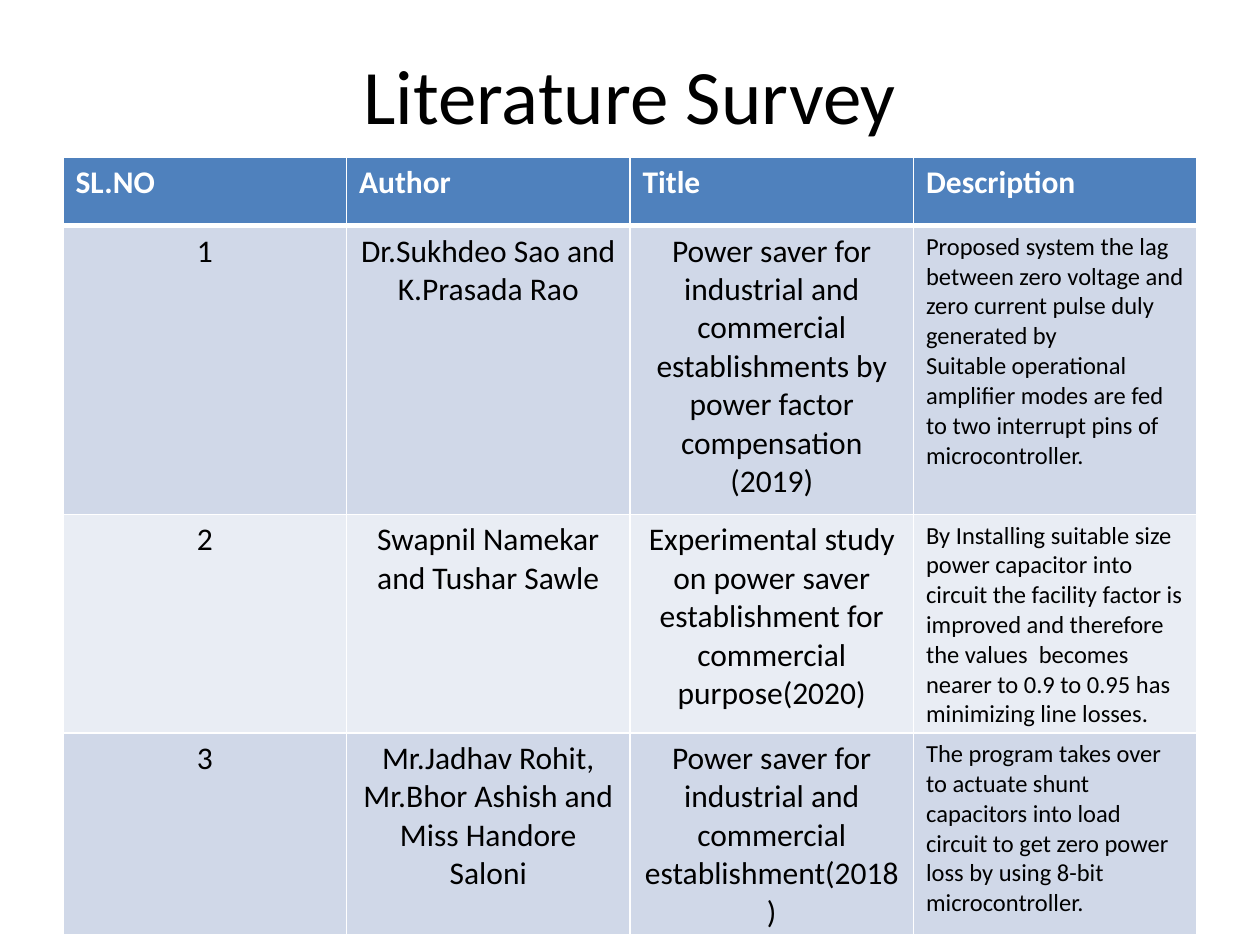
"""Build the literature survey slide."""
from lxml import etree
from pptx import Presentation
from pptx import util as u
from pptx.dml.color import RGBColor
from pptx.enum import text
from pptx.oxml.ns import qn

FONT = "Calibri"
WHITE, BLACK, HEADER = "FFFFFF", "000000", "4F81BD"
BANDS = ("D0D8E8", "E9EDF4")
COLUMN_WIDTH = 162
ROW_HEIGHTS = (39, 165, 120, 98)
LEFT, CENTER = text.PP_ALIGN.LEFT, text.PP_ALIGN.CENTER

HEADINGS = ("SL.NO", "Author", "Title", "Description")
PAPERS = (
    (
        ["1"],
        ["Dr.Sukhdeo Sao and K.Prasada Rao"],
        ["Power saver for industrial and commercial establishments by "
         "power factor compensation", "(2019)"],
        ["Proposed system the lag between zero voltage and zero current "
         "pulse duly generated by",
         "Suitable operational amplifier modes are fed to two interrupt "
         "pins of microcontroller."],
    ),
    (
        ["2"],
        ["Swapnil Namekar and Tushar Sawle"],
        ["Experimental study on power saver establishment for commercial "
         "purpose(2020)"],
        ["By Installing suitable size power capacitor into circuit the "
         "facility factor is improved and therefore the values  becomes "
         "nearer to 0.9 to 0.95 has minimizing line losses."],
    ),
    (
        ["3"],
        ["Mr.Jadhav Rohit, Mr.Bhor Ashish and Miss Handore Saloni"],
        ["Power saver for industrial and commercial establishment(2018)"],
        ["The program takes over to actuate shunt capacitors into load "
         "circuit to get zero power loss by using 8-bit microcontroller."],
    ),
)


def color(value):
    """Turn a hex string into a colour."""
    return RGBColor.from_string(value)


def write(frame, lines, size, ink, align, bold=False):
    """Fill a text frame with one paragraph per line."""
    for index, line in enumerate(lines):
        para = frame.add_paragraph() if index else frame.paragraphs[0]
        para.alignment = align
        span = para.add_run()
        span.text = line
        span.font.name = FONT
        span.font.size = u.Pt(size)
        span.font.bold = bold
        span.font.color.rgb = color(ink)


def set_borders(cell, top, bottom):
    """Draw white lines around a cell, with side lines of one point."""
    properties = cell._tc.get_or_add_tcPr()
    for tag, width in (("lnL", 1), ("lnR", 1), ("lnT", top), ("lnB", bottom)):
        line = etree.SubElement(properties, qn("a:" + tag), w=str(u.Pt(width)))
        fill = etree.SubElement(line, qn("a:solidFill"))
        etree.SubElement(fill, qn("a:srgbClr"), val=WHITE)


def style_cell(cell, fill, top=1, bottom=1):
    """Give a cell its borders and fill."""
    set_borders(cell, top, bottom)
    cell.fill.solid()
    cell.fill.fore_color.rgb = color(fill)


def add_title(page, title):
    """Add the centred slide title."""
    box = page.shapes.add_textbox(u.Pt(36), u.Pt(11.5), u.Pt(648), u.Pt(84))
    frame = box.text_frame
    frame.word_wrap = True
    frame.vertical_anchor = text.MSO_ANCHOR.MIDDLE
    write(frame, [title], 44, BLACK, CENTER)


def add_survey(page):
    """Add the table of surveyed papers."""
    table = page.shapes.add_table(
        len(ROW_HEIGHTS), len(HEADINGS), u.Pt(36), u.Pt(90),
        u.Pt(COLUMN_WIDTH * len(HEADINGS)), u.Pt(sum(ROW_HEIGHTS))).table
    for column in table.columns:
        column.width = u.Pt(COLUMN_WIDTH)
    for row, height in zip(table.rows, ROW_HEIGHTS):
        row.height = u.Pt(height)
    for index, heading in enumerate(HEADINGS):
        cell = table.cell(0, index)
        style_cell(cell, HEADER, bottom=3)
        write(cell.text_frame, [heading], 18, WHITE, LEFT, bold=True)
    for number, paper in enumerate(PAPERS):
        for index, lines in enumerate(paper):
            cell = table.cell(number + 1, index)
            style_cell(cell, BANDS[number % 2], top=1 if number else 3)
            is_description = index == len(HEADINGS) - 1
            size, align = (14, LEFT) if is_description else (18, CENTER)
            write(cell.text_frame, lines, size, BLACK, align)


def main():
    """Build and save the deck."""
    deck = Presentation()
    deck.slide_width, deck.slide_height = u.Pt(720), u.Pt(540)
    page = deck.slides.add_slide(deck.slide_layouts[6])
    add_title(page, "Literature Survey")
    add_survey(page)
    deck.save("out.pptx")


if __name__ == "__main__":
    main()
